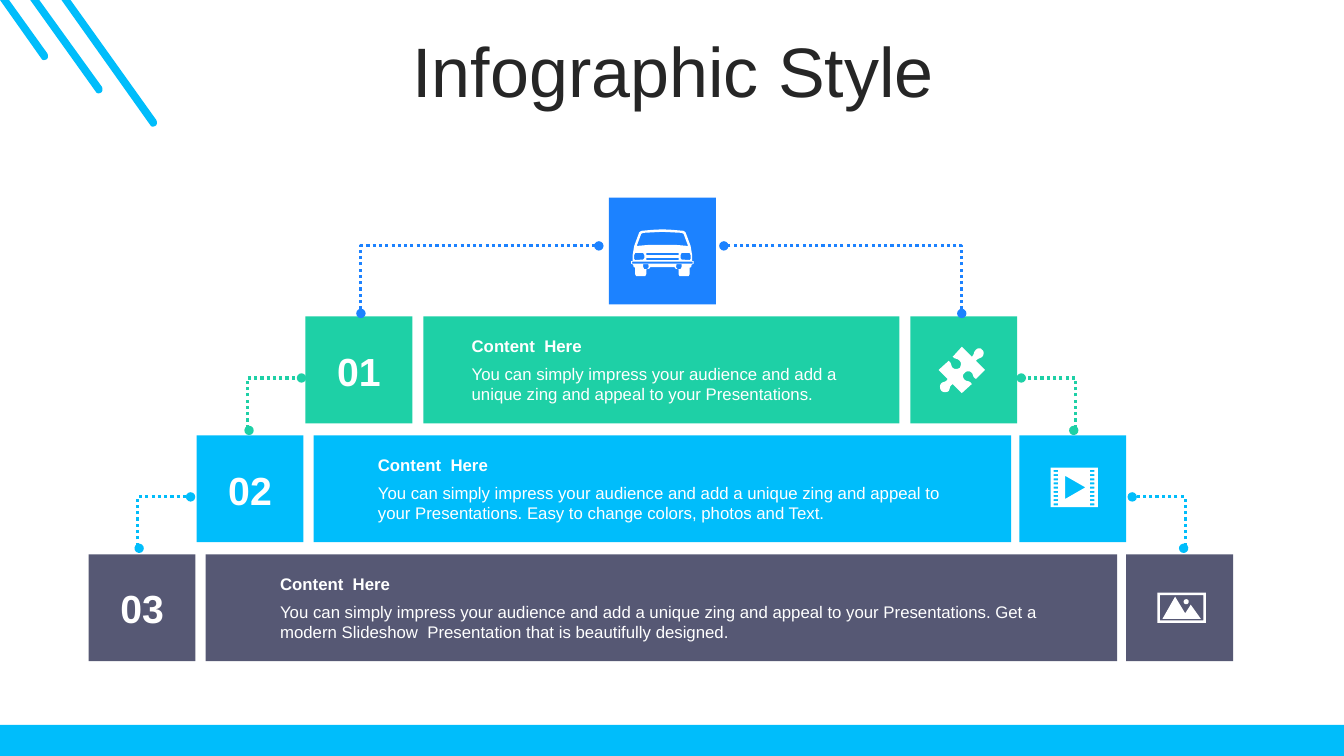
import pptx
import pptx.util
import pptx.dml.color
import pptx.enum.dml
import pptx.enum.shapes
import pptx.enum.text
import pptx.oxml
from lxml import etree

Inches = pptx.util.Inches
ALIGN = pptx.enum.text.PP_ALIGN
ANCHOR = pptx.enum.text.MSO_ANCHOR
COLORS = {"sky": "00BDFB", "blue": "1C82FF", "green": "1ED0A6",
          "slate": "565874", "white": "FFFFFF", "ink": "262626"}
FORMATS = {
    "title": {"size": pptx.util.Pt(50), "color": "ink"},
    "number": {"size": pptx.util.Pt(28), "bold": True, "color": "white"},
    "heading": {"size": pptx.util.Pt(12), "bold": True, "color": "white"},
    "body": {"size": pptx.util.Pt(12), "color": "white"},
}
CARD = 1.06
AXIS = 6.56  # the pyramid mirrors about this line


def rgb(name):
    return pptx.dml.color.RGBColor.from_string(COLORS[name])


def paint(shape, color):
    shape.shadow.inherit = False
    shape.fill.solid()
    shape.fill.fore_color.rgb = rgb(color)
    shape.line.fill.background()


def add_block(page, left, top, width, height, color):
    shape = page.shapes.add_shape(pptx.enum.shapes.MSO_SHAPE.RECTANGLE,
                                  *map(Inches, (left, top, width, height)))
    paint(shape, color)


def add_text(page, left, top, width, height, text, style,
             align=ALIGN.LEFT, anchor=ANCHOR.TOP):
    box = page.shapes.add_textbox(*map(Inches, (left, top, width, height)))
    box.text_frame.word_wrap = True
    box.text_frame.vertical_anchor = anchor
    para = box.text_frame.paragraphs[0]
    para.alignment = align
    span = para.add_run()
    span.text = text
    span.font.name = "Arial"
    for key, value in FORMATS[style].items():
        if key == "color":
            span.font.color.rgb = rgb(value)
        else:
            setattr(span.font, key, value)
    return para


# Outlines: units are hundredths of an inch
def outline(start, *steps):
    """Two numbers make a line, six make a cubic curve."""
    points = [start]
    for step in steps:
        if len(step) == 2:
            points.append(step)
            continue
        nodes = [points[-1], step[:2], step[2:4], step[4:]]
        for t in (0.2, 0.4, 0.6, 0.8, 1):
            weights = ((1 - t) ** 3, 3 * t * (1 - t) ** 2, 3 * t * t * (1 - t), t ** 3)
            points.append(tuple(sum(w * node[axis] for w, node in zip(weights, nodes))
                                for axis in (0, 1)))
    return points


def rectangle(left, top, width, height):
    right, bottom = left + width, top + height
    return [(left, top), (right, top), (right, bottom), (left, bottom)]


def flip(points):
    return [(-x, y) for x, y in reversed(points)]


def add_outline(page, left, top, contours, color="white"):
    placed = [[(Inches(left + x / 100), Inches(top + y / 100)) for x, y in contour]
              for contour in contours]
    builder = page.shapes.build_freeform(*placed[0][0], scale=1.0)
    for index, contour in enumerate(placed):
        if index:
            builder.move_to(*contour[0])
        builder.add_line_segments(contour[1:], close=True)
    paint(builder.convert_to_shape(), color)


# Icons, each placed inside a card
def car_icon(page, left, top):
    halves = [
        [(0, 1.5), (10, 2), (21, 3), (23, 4.5), (28, 18), (29.5, 27), (29.5, 33), (31, 33),
         (31, 35.5), (29, 36.5), (28.5, 39), (27, 39.5), (27, 46), (26, 48), (17, 48),
         (16, 46), (16, 41), (13, 40.5), (12, 39), (0, 39)],
        [(0, 4), (19, 5), (21, 6), (25.5, 18), (14, 17), (0, 17)],
        rectangle(0, 25, 16, 2.2),
        rectangle(0, 29.8, 16, 2.2),
        [(0, 33.5), (30, 33.5), (30, 35.5), (0, 35.5)],
    ]
    contours = [half + flip(half)[:] if half[0][0] == 0 else half for half in halves]
    lamps = [
        [(19, 25), (27, 25), (28, 27), (28, 31), (27, 32), (19, 31.5), (18, 30), (18, 27)],
        [(14, 36), (19, 36), (19, 39), (18, 41), (15, 41), (13.5, 39)],
    ]
    contours += lamps + [flip(lamp) for lamp in lamps]
    add_outline(page, left + CARD / 2, top + 0.3, contours)


def puzzle_icon(page, left, top):
    piece = outline(
        (43, 3), (45, 4, 45, 7, 44, 9), (42, 12, 39, 11, 37, 14), (46, 23), (37, 32),
        (33, 30, 35, 27, 32, 25), (30, 24, 27, 24, 26, 26), (24, 27, 23, 30, 26, 33),
        (29, 35, 30, 33, 33, 37), (23, 46), (14, 37), (10, 40, 12, 40, 10, 44),
        (7, 46, 4, 45, 3, 44), (1, 42, 1, 39, 2, 37), (4, 34, 7, 36, 9, 32), (0, 23),
        (10, 14), (13, 16, 12, 19, 14, 21), (17, 23, 19, 22, 21, 21),
        (22, 19, 23, 16, 21, 14), (18, 11, 17, 13, 14, 10), (23, 0), (33, 10),
        (36, 7, 34, 6, 37, 3), (39, 1, 42, 1, 43, 3))
    add_outline(page, left + 0.28, top + 0.3, [piece])


def film_icon(page, left, top):
    holes = [rectangle(x, 2.2 + 4.14 * row, 4.5, 2) for x in (3, 39) for row in range(9)]
    play = [(14.5, 8), (14.5, 31), (34.5, 19.5)]
    add_outline(page, left + 0.31, top + 0.32, [rectangle(0, 0, 47, 39), play] + holes)


def photo_icon(page, left, top):
    sun = outline((28.5, 6.5), (30, 6.5, 31, 7.5, 31, 9), (31, 10.5, 30, 11.5, 28.5, 11.5),
                  (27, 11.5, 26, 10.5, 26, 9), (26, 7.5, 27, 6.5, 28.5, 6.5))
    hills = [(17.5, 4), (27.5, 20.5), (33, 12), (43, 26), (5, 26)]
    add_outline(page, left + 0.31, top + 0.38,
                [rectangle(0, 0, 48, 30), rectangle(2.5, 2.5, 43, 25), hills, sun])


# Dotted elbow with a dot at each end
def add_elbow(page, start, end, color, bend):
    elbow = page.shapes.add_connector(pptx.enum.shapes.MSO_CONNECTOR.ELBOW,
                                      *map(Inches, start + end))
    elbow.line.color.rgb = rgb(color)
    elbow.line.width = pptx.util.Pt(2.25)
    elbow.line.dash_style = pptx.enum.dml.MSO_LINE.ROUND_DOT
    qn = pptx.oxml.ns.qn
    line = elbow.line._get_or_add_ln()
    for tag in ("a:headEnd", "a:tailEnd"):
        etree.SubElement(line, qn(tag), type="oval")
    properties = elbow._element.spPr
    etree.SubElement(properties, qn("a:effectLst"))
    guides = properties.find(qn("a:prstGeom")).find(qn("a:avLst"))
    etree.SubElement(guides, qn("a:gd"), name="adj1", fmla=f"val {bend}")


def add_frame(page):
    add_block(page, 0, 7.19, 13.33, 0.31, "sky")
    # Corner stripes: left edge at the top, then the tip
    stripes = []
    for edge, x, y in ((0, 41, 58), (30, 95, 91), (61, 149, 124)):
        stripes.append(outline((edge + 9, 0), (edge, 0), (x, y),
                               (x + 1, y + 2, x + 3, y + 2, x + 5, y + 1),
                               (x + 7, y, x + 7, y - 3, x + 6, y - 5)))
    add_outline(page, 0, 0, stripes, "sky")
    para = add_text(page, 0.35, 0.37, 12.66, 0.79, "Infographic Style", "title",
                    ALIGN.CENTER, ANCHOR.MIDDLE)
    para.line_spacing = 0.8


def add_tier(page, top, number, color, left, bar, inset, icon_left, text, icon):
    bar_left, bar_width = bar
    text_left, text_width = inset
    for x, width in ((left, CARD), (bar_left, bar_width), (icon_left, CARD)):
        add_block(page, x, top, width, CARD, color)
    add_text(page, left + 0.18, top + 0.25, 0.7, 0.57, number, "number",
             ALIGN.CENTER, ANCHOR.MIDDLE)
    add_text(page, text_left, top + 0.42, text_width, 0.5, text, "body")
    add_text(page, text_left, top + 0.14, text_width, 0.3, "Content  Here", "heading")
    icon(page, icon_left, top)


def add_elbows(page):
    for start, end, color, bend in (
            ((1.38, 5.44), (1.89, 4.93), "sky", -2900),
            ((2.47, 4.27), (2.99, 3.75), "green", -2900),
            ((3.58, 3.11), (5.94, 2.44), "blue", 0)):
        add_elbow(page, start, end, color, bend)
        mirrored = [(2 * AXIS - x, y) for x, y in (start, end)]
        add_elbow(page, *mirrored, color, bend)


def main():
    deck = pptx.Presentation()
    deck.slide_width, deck.slide_height = Inches(13.33), Inches(7.5)
    page = deck.slides.add_slide(deck.slide_layouts[6])
    add_frame(page)
    add_block(page, 6.04, 1.96, CARD, CARD, "blue")
    car_icon(page, 6.04, 1.96)
    lead = "You can simply impress your audience and add a unique zing and appeal to your Presentations."
    tiers = (
        ("green", 3.03, (4.2, 4.72), (4.58, 3.97), 9.03, lead, puzzle_icon),
        ("sky", 1.95, (3.11, 6.92), (3.65, 5.84), 10.11,
         lead + " Easy to change colors, photos and Text.", film_icon),
        ("slate", 0.88, (2.04, 9.04), (2.68, 7.77), 11.17,
         lead + " Get a modern Slideshow  Presentation that is beautifully designed.", photo_icon),
    )
    for index, tier in enumerate(tiers):
        add_tier(page, 3.14 + 1.18 * index, f"{index + 1:02d}", *tier)
    add_elbows(page)
    deck.save("out.pptx")


if __name__ == "__main__":
    main()
